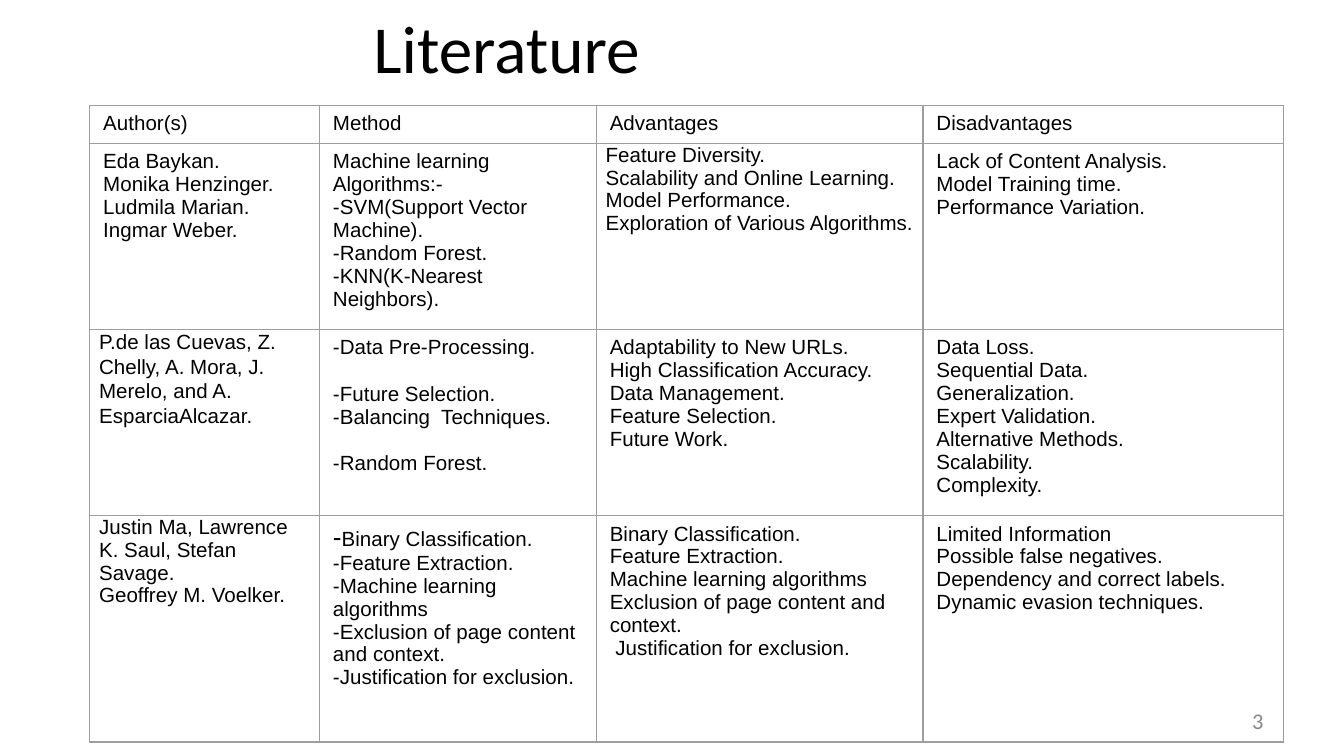
from lxml.etree import SubElement
from pptx import Presentation
from pptx.dml.color import RGBColor
from pptx.enum.text import MSO_ANCHOR, PP_ALIGN
from pptx.oxml.ns import qn
from pptx.util import Pt

BLACK, GREY, BORDER = "000000", "888888", "9E9E9E"
COLUMN_WIDTHS = [123.1, 148.3, 175, 193]
ROW_HEIGHTS = [19.8, 98, 97.6, 121.2]
BLANK_LINE = 12.65
DASH_SIZE = 14

ROWS = [
    [["Author(s)"], ["Method"], ["Advantages"], ["Disadvantages"]],
    [
        ["Eda Baykan.", "Monika Henzinger.", "Ludmila Marian.", "Ingmar Weber."],
        ["Machine learning Algorithms:-", "-SVM(Support Vector Machine).",
         "-Random Forest.", "-KNN(K-Nearest Neighbors)."],
        ["Feature Diversity.", "Scalability and Online Learning.",
         "Model Performance.", "Exploration of Various Algorithms."],
        ["Lack of Content Analysis.", "Model Training time.", "Performance Variation."],
    ],
    [
        ["P.de las Cuevas, Z. Chelly, A. Mora, J. Merelo, and A. EsparciaAlcazar."],
        ["-Data Pre-Processing.", "-Future Selection.", "-Balancing  Techniques.",
         "-Random Forest."],
        ["Adaptability to New URLs.", "High Classification Accuracy.",
         "Data Management.", "Feature Selection.", "Future Work."],
        ["Data Loss.", "Sequential Data.", "Generalization.", "Expert Validation.",
         "Alternative Methods.", "Scalability.", "Complexity."],
    ],
    [
        ["Justin Ma, Lawrence K. Saul, Stefan Savage.", "Geoffrey M. Voelker."],
        ["-Binary Classification.", "-Feature Extraction.",
         "-Machine learning algorithms", "-Exclusion of page content and context.",
         "-Justification for exclusion."],
        ["Binary Classification.", "Feature Extraction.", "Machine learning algorithms",
         "Exclusion of page content and context.", " Justification for exclusion."],
        ["Limited Information", "Possible false negatives.",
         "Dependency and correct labels.", "Dynamic evasion techniques."],
    ],
]
# Cells with narrow side margins and none above or below
TIGHT_CELLS = {(1, 2), (2, 0), (3, 0)}


def color(value):
    return RGBColor.from_string(value)


def write_text(paragraph, text, size=11, font="Arial", fill=BLACK,
               align=PP_ALIGN.LEFT):
    paragraph.alignment = align
    run = paragraph.add_run()
    run.text = text
    run.font.size = Pt(size)
    run.font.name = font
    run.font.color.rgb = color(fill)
    return run


def add_label(slide, text, left, top, width, height, **text_format):
    shape = slide.shapes.add_textbox(Pt(left), Pt(top), Pt(width), Pt(height))
    frame = shape.text_frame
    frame.word_wrap = True
    frame.vertical_anchor = MSO_ANCHOR.MIDDLE
    write_text(frame.paragraphs[0], text, font="Calibri", **text_format)


def set_borders(cell):
    properties = cell._tc.get_or_add_tcPr()
    for position, side in enumerate(("a:lnL", "a:lnR", "a:lnT", "a:lnB")):
        line = SubElement(properties, qn(side), w=str(Pt(0.75)))
        fill = SubElement(line, qn("a:solidFill"))
        SubElement(fill, qn("a:srgbClr"), val=BORDER)
        # Borders must stand before the cell fill
        properties.insert(position, line)


def fill_cell(cell, lines, tight):
    cell.fill.background()
    cell.margin_left = cell.margin_right = Pt(5 if tight else 7.2)
    cell.margin_top = cell.margin_bottom = Pt(0 if tight else 3.6)
    cell.vertical_anchor = MSO_ANCHOR.TOP
    frame = cell.text_frame
    for index, line in enumerate(lines):
        paragraph = frame.add_paragraph() if index else frame.paragraphs[0]
        write_text(paragraph, line)
    set_borders(cell)


def add_literature_table(slide):
    frame = slide.shapes.add_table(
        len(ROWS), len(COLUMN_WIDTHS), Pt(48.1), Pt(56.5),
        Pt(sum(COLUMN_WIDTHS)), Pt(sum(ROW_HEIGHTS)))
    table = frame.table
    table.first_row = table.horz_banding = False
    for column, width in zip(table.columns, COLUMN_WIDTHS):
        column.width = Pt(width)
    for row, height in zip(table.rows, ROW_HEIGHTS):
        row.height = Pt(height)
    for row_index, row in enumerate(ROWS):
        for column_index, lines in enumerate(row):
            fill_cell(table.cell(row_index, column_index), lines,
                      (row_index, column_index) in TIGHT_CELLS)
    return table


def adjust_details(table):
    # Looser author list
    authors = table.cell(2, 0).text_frame.paragraphs[0]
    authors.line_spacing = 1.07
    authors.space_after = Pt(8)
    # Gaps between groups of methods
    methods = table.cell(2, 1).text_frame.paragraphs
    for index in (0, 2):
        methods[index].space_after = Pt(BLANK_LINE)
    # Larger first dash
    paragraph = table.cell(3, 1).text_frame.paragraphs[0]
    dash = paragraph.runs[0]
    rest = dash.text[1:]
    dash.text = "-"
    dash.font.size = Pt(DASH_SIZE)
    write_text(paragraph, rest)


def main():
    presentation = Presentation()
    presentation.slide_width = Pt(720)
    presentation.slide_height = Pt(405)
    slide = presentation.slides.add_slide(presentation.slide_layouts[6])

    # Slide number and title
    add_label(slide, "3", 516, 375.4, 168, 21.6, size=12, fill=GREY,
              align=PP_ALIGN.RIGHT)
    add_label(slide, "Literature ", 34.5, 0, 482, 50, size=36,
              align=PP_ALIGN.CENTER)

    # Comparison of papers
    adjust_details(add_literature_table(slide))

    presentation.save("out.pptx")


if __name__ == "__main__":
    main()
